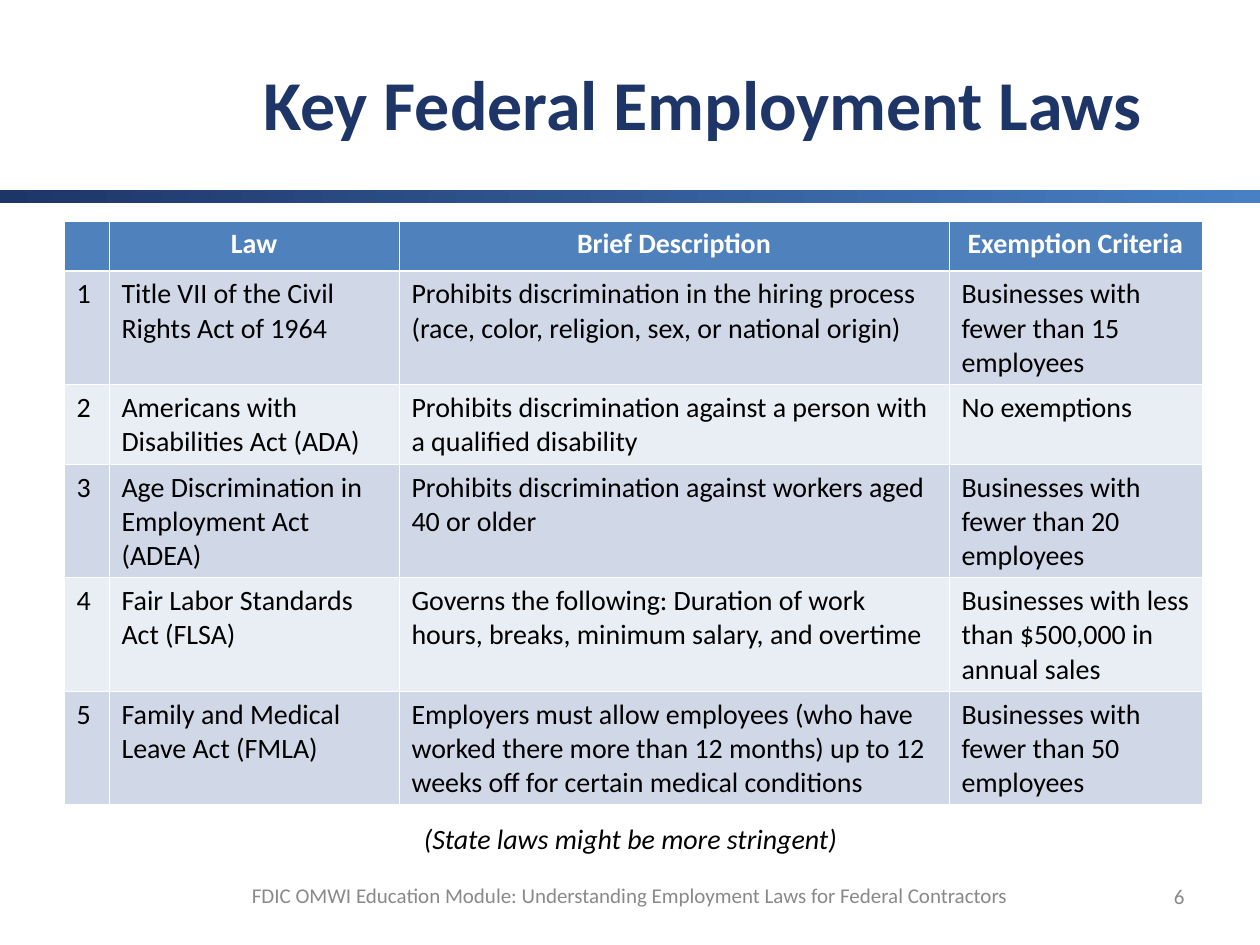
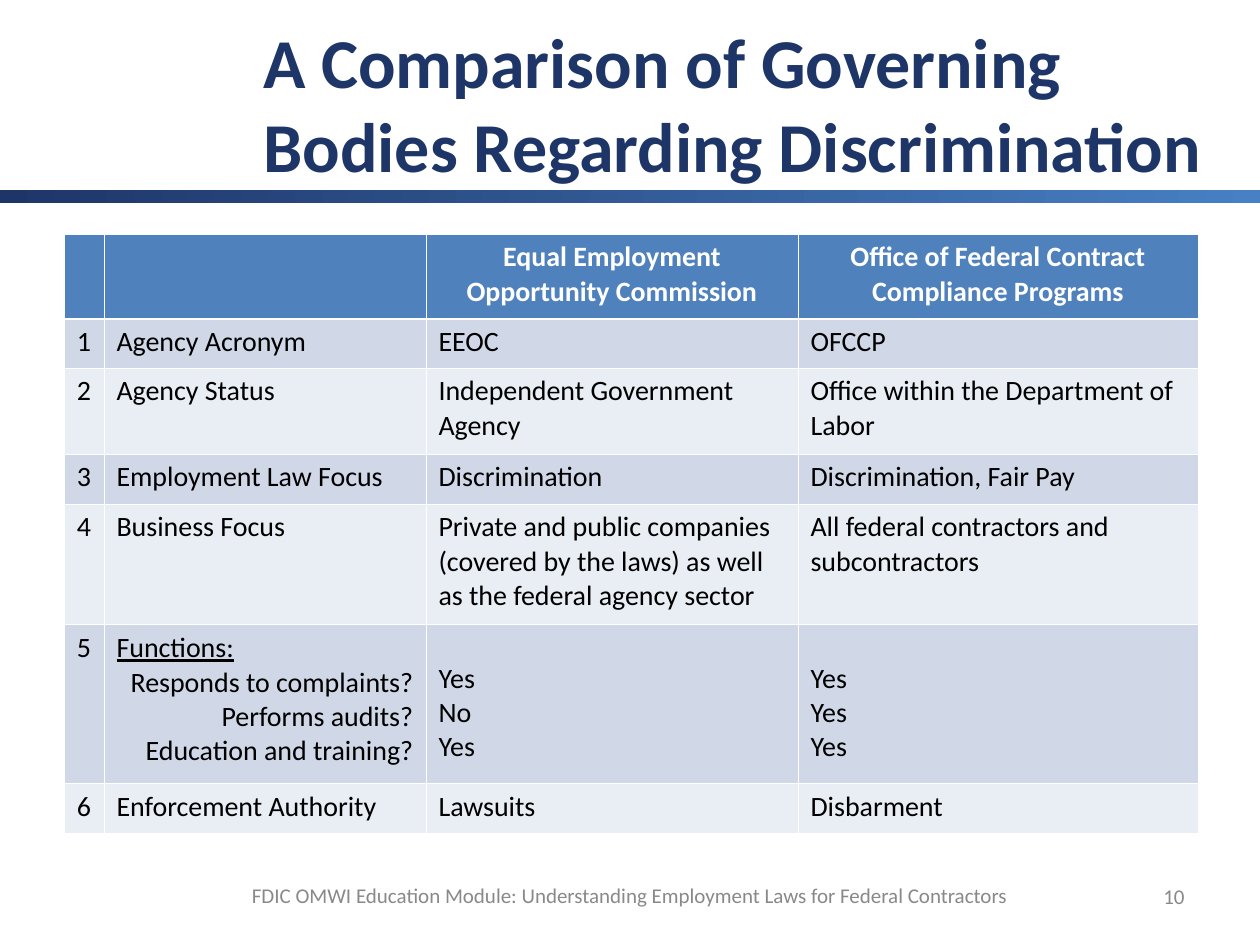
from itertools import product

from lxml.etree import SubElement
from pptx import Presentation
from pptx.dml.color import RGBColor
from pptx.enum.shapes import MSO_SHAPE as Shape
from pptx.enum.text import MSO_ANCHOR as Anchor, PP_ALIGN as Align
from pptx.oxml.ns import qn
from pptx.util import Emu, Pt

COLORS = {
    "navy": "1E3568", "blue": "4780C5", "header": "4F81BD",
    "band_dark": "D0D8E8", "band_light": "E9EDF4",
    "white": "FFFFFF", "black": "000000", "gray": "898989",
}
FONT = "Calibri"
EMU_PER_PX = 914400 / 126
SLIDE_SIZE = (1260, 945)
BAND_BOX = (0, 190, 1260, 13)
FOOTER_BOX = (127, 871, 1006, 48)
NUMBER_BOX = (1070, 871, 127, 50)
NOTE_BOX = (367, 815, 527, 47)
TITLE_LEFT, TITLE_TOP, TITLE_HEIGHT = 251, 23, 158
TABLE_LEFT = 64
LINE_BELOW_HEADING = 37
THIN, THICK = Pt(0.45), Pt(1.47)
FOOTER = "FDIC OMWI Education Module: Understanding Employment Laws for Federal Contractors"

FUNCTIONS = [
    ("Functions:", {"underline": True}),
    ("Responds to complaints?", {"align": Align.RIGHT}),
    ("Performs audits?", {"align": Align.RIGHT}),
    ("Education and training?", {"align": Align.RIGHT}),
]
SLIDES = [
    {
        "title": "Key Federal Employment Laws",
        "title_width": 946,
        "number": "6",
        "note": "(State laws might be more stringent)",
        "table_top": 221,
        "columns": [45, 290, 550, 253],
        "heights": [50, 113, 80, 113, 113, 113],
        "index_align": Align.LEFT,
        "rows": [
            ("", "Law", "Brief Description", "Exemption Criteria"),
            ("1", "Title VII of the Civil Rights Act of 1964",
             "Prohibits discrimination in the hiring process (race, color, religion, sex, or national origin)",
             "Businesses with fewer than 15 employees"),
            ("2", "Americans with Disabilities Act (ADA)",
             "Prohibits discrimination against a person with a qualified disability",
             "No exemptions"),
            ("3", "Age Discrimination in Employment Act (ADEA)",
             "Prohibits discrimination against workers aged 40 or older",
             "Businesses with fewer than 20 employees"),
            ("4", "Fair Labor Standards Act (FLSA)",
             "Governs the following: Duration of work hours, breaks, minimum salary, and overtime",
             "Businesses with less than $500,000 in annual sales"),
            ("5", "Family and Medical Leave Act (FMLA)",
             "Employers must allow employees (who have worked there more than 12 months) "
             "up to 12 weeks off for certain medical conditions",
             "Businesses with fewer than 50 employees"),
        ],
    },
    {
        "title": "A Comparison of Governing Bodies Regarding Discrimination",
        "title_width": 982,
        "number": "10",
        "note": None,
        "table_top": 234,
        "columns": [40, 322, 372, 400],
        "heights": [85, 49, 86, 50, 121, 159, 50],
        "index_align": Align.CENTER,
        "rows": [
            ("", "", "Equal Employment Opportunity Commission",
             "Office of Federal Contract Compliance Programs"),
            ("1", "Agency Acronym", "EEOC", "OFCCP"),
            ("2", "Agency Status", "Independent Government Agency",
             "Office within the Department of Labor"),
            ("3", "Employment Law Focus", "Discrimination", "Discrimination, Fair Pay"),
            ("4", "Business Focus",
             "Private and public companies (covered by the laws) as well as the federal agency sector",
             "All federal contractors and subcontractors"),
            ("5", FUNCTIONS,
             [("Yes", {}), ("No", {}), ("Yes", {})],
             [("Yes", {}), ("Yes", {}), ("Yes", {})]),
            ("6", "Enforcement Authority", "Lawsuits", "Disbarment"),
        ],
    },
]


def px(length):
    return Emu(round(length * EMU_PER_PX))


def place(box):
    return [px(length) for length in box]


def color(name):
    return RGBColor.from_string(COLORS[name])


def write(frame, lines, size, color_name, align=Align.LEFT, bold=False, italic=False):
    for index, (text, style) in enumerate(lines):
        paragraph = frame.add_paragraph() if index else frame.paragraphs[0]
        paragraph.alignment = style.get("align", align)
        run = paragraph.add_run()
        run.text = text
        font = run.font
        font.name, font.size, font.bold, font.italic = FONT, Pt(size), bold, italic
        font.underline = style.get("underline", False)
        font.color.rgb = color(color_name)


def add_text(slide, box, text, size, color_name, **style):
    frame = slide.shapes.add_textbox(*place(box)).text_frame
    frame.word_wrap = True
    frame.vertical_anchor = Anchor.MIDDLE
    write(frame, [(text, {})], size, color_name, **style)


def add_band(slide):
    band = slide.shapes.add_shape(Shape.RECTANGLE, *place(BAND_BOX))
    band.shadow.inherit = False
    band.line.fill.background()
    band.fill.gradient()
    band.fill.gradient_angle = 0
    for stop, name in zip(band.fill.gradient_stops, ("navy", "blue")):
        stop.color.rgb = color(name)


def set_borders(cell, row):
    widths = {
        "L": THIN, "R": THIN,
        "T": THICK if row == 1 else THIN,
        "B": THICK if row == 0 else THIN,
    }
    properties = cell._tc.get_or_add_tcPr()
    for side, width in widths.items():
        line = SubElement(properties, qn(f"a:ln{side}"), w=str(int(width)))
        fill = SubElement(line, qn("a:solidFill"))
        SubElement(fill, qn("a:srgbClr"), val=COLORS["white"])


def fill_cell(cell, content, row, column, index_align):
    set_borders(cell, row)
    cell.fill.solid()
    if row == 0:
        fill_name, text_name, align = "header", "white", Align.CENTER
    else:
        fill_name = "band_dark" if row % 2 else "band_light"
        text_name = "black"
        align = Align.LEFT if column else index_align
    cell.fill.fore_color.rgb = color(fill_name)
    if not content:
        paragraph = cell.text_frame.paragraphs[0]
        paragraph._p.get_or_add_endParaRPr().set("sz", "1600")
        return
    lines = [(content, {})] if isinstance(content, str) else content
    if column > 1 and len(lines) > 1:
        cell.margin_top = px(LINE_BELOW_HEADING)
    write(cell.text_frame, lines, 16, text_name, align=align, bold=row == 0)


def add_table(slide, content):
    columns, heights, rows = content["columns"], content["heights"], content["rows"]
    box = (TABLE_LEFT, content["table_top"], sum(columns), sum(heights))
    table = slide.shapes.add_table(len(rows), len(columns), *place(box)).table
    table.horz_banding = False
    for column, width in zip(table.columns, columns):
        column.width = px(width)
    for row, height in zip(table.rows, heights):
        row.height = px(height)
    for row, column in product(range(len(rows)), range(len(columns))):
        fill_cell(table.cell(row, column), rows[row][column], row, column, content["index_align"])


def build_slide(presentation, content):
    slide = presentation.slides.add_slide(presentation.slide_layouts[6])
    add_band(slide)
    if content["note"]:
        add_text(slide, NOTE_BOX, content["note"], 16, "black", align=Align.CENTER, italic=True)
    add_table(slide, content)
    title_box = (TITLE_LEFT, TITLE_TOP, content["title_width"], TITLE_HEIGHT)
    add_text(slide, title_box, content["title"], 40, "navy", bold=True)
    add_text(slide, NUMBER_BOX, content["number"], 12, "gray", align=Align.RIGHT)
    add_text(slide, FOOTER_BOX, FOOTER, 12, "gray", align=Align.CENTER)


def main():
    presentation = Presentation()
    presentation.slide_width, presentation.slide_height = place(SLIDE_SIZE)
    for content in SLIDES:
        build_slide(presentation, content)
    presentation.save("out.pptx")


if __name__ == "__main__":
    main()
